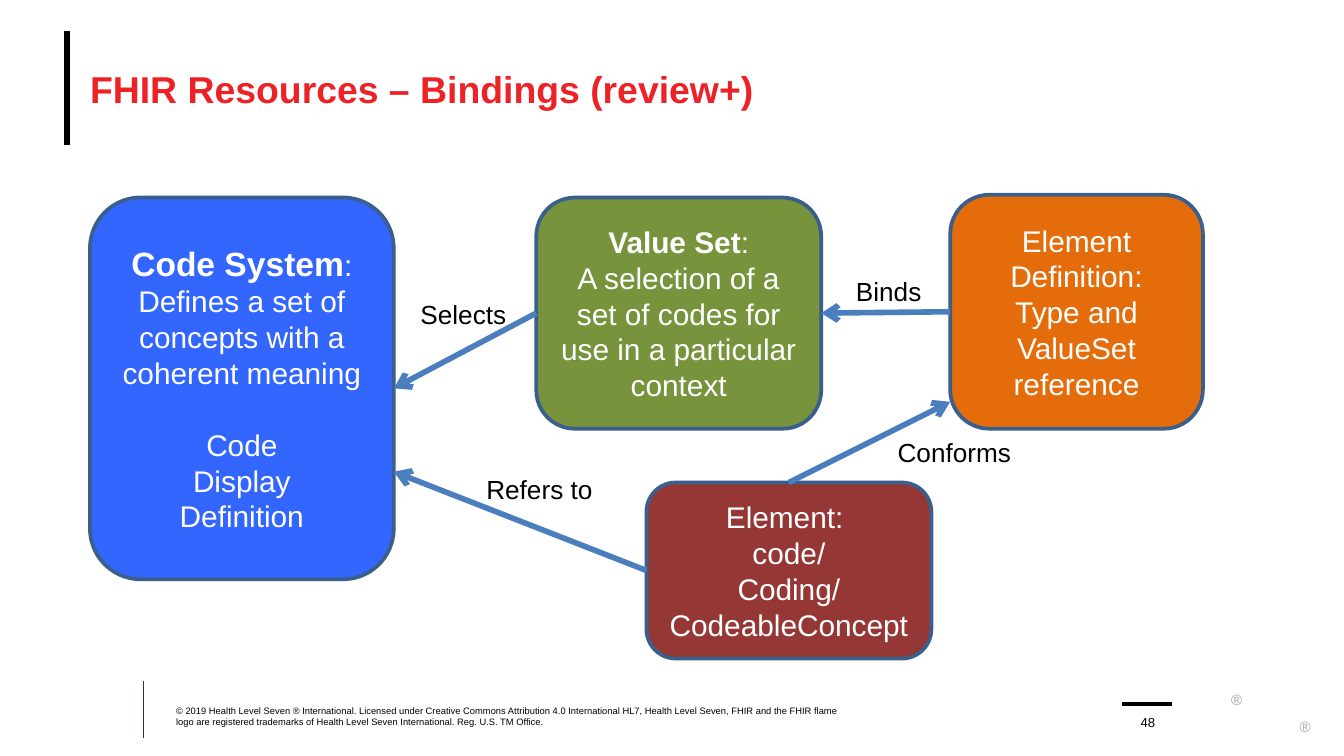
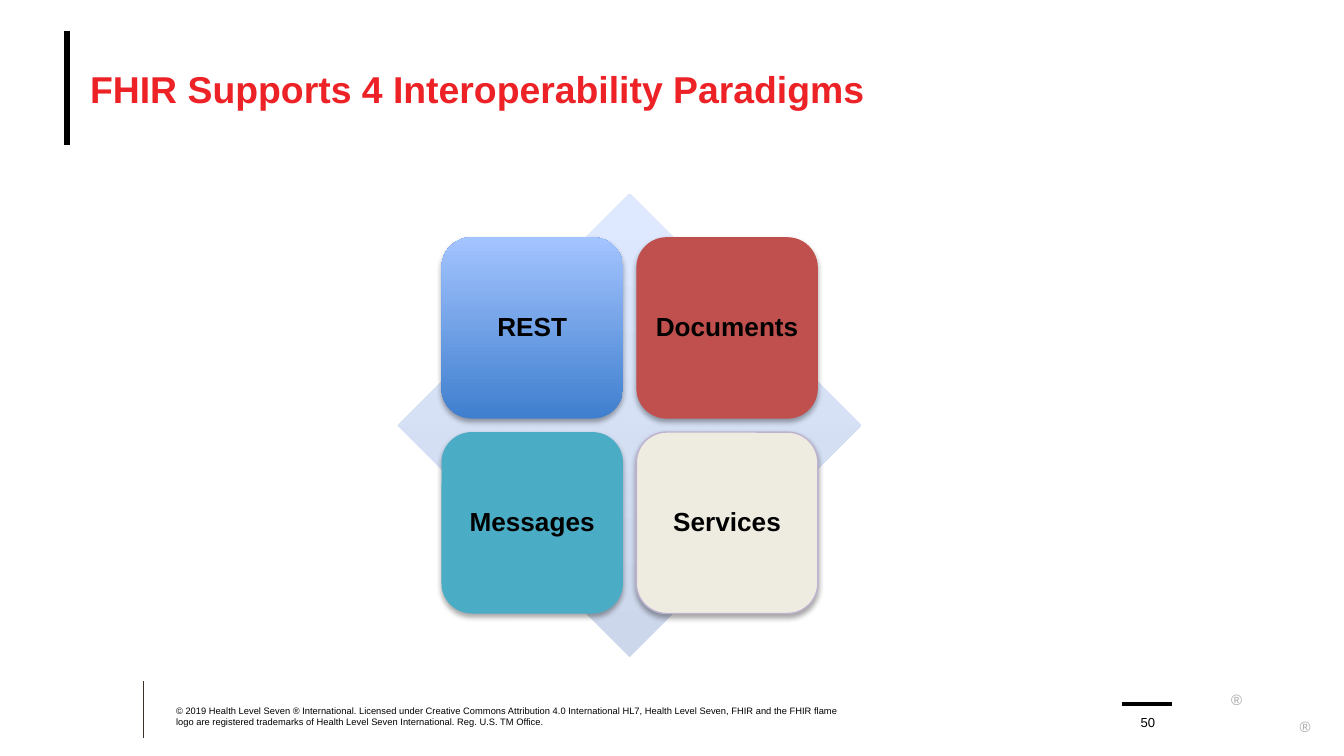
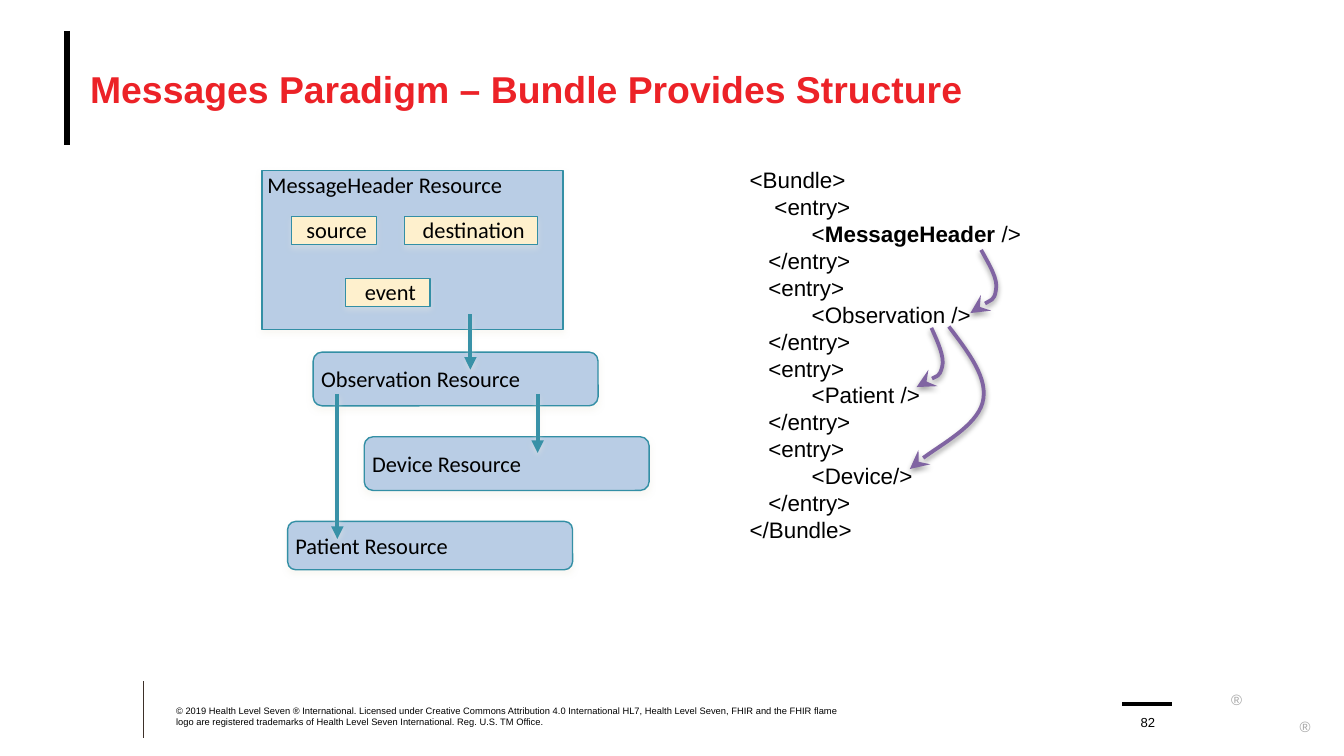
from itertools import product

from lxml.etree import SubElement
from pptx import Presentation
from pptx.dml.color import RGBColor
from pptx.enum.shapes import MSO_CONNECTOR, MSO_SHAPE as SHAPE
from pptx.enum.text import MSO_ANCHOR as ANCHOR, MSO_AUTO_SIZE, PP_ALIGN as ALIGN
from pptx.oxml.ns import qn
from pptx.util import Inches, Pt

FOOTER = ("© 2019 Health Level Seven ® International. Licensed under Creative Commons Attribution 4.0 "
          "International HL7, Health Level Seven, FHIR and the FHIR flame logo are registered trademarks "
          "of Health Level Seven International. Reg. U.S. TM Office.")
RULES = [((1.07, 5.07), (1.07, 5.49), "3D3029", 0.5),
         ((0.5, 0.23), (0.5, 1.08), "000000", 3.25),
         ((8.35, 5.24), (8.72, 5.24), "000000", 2)]
MARKS = [(9.16, 5.1, 0.11, 0.09), (9.67, 5.3, 0.09, 0.09)]

BOLD = {"bold": True}
CONCEPTS = {
    "code system": ((0.67, 1.47, 2.26, 2.84), "3366FF", [
        [("Code System", {"bold": True, "size": 18}), (":", {})],
        "Defines a set of concepts with a coherent meaning", "Code", "Display", "Definition"], {2: 19.2}),
    "value set": ((3.99, 1.47, 2.12, 1.72), "77933C", [
        [("Value Set", BOLD), (":", {})],
        "A selection of a set of codes for use in a particular context"], {}),
    "definition": ((7.07, 1.45, 1.88, 1.74), "E46C0A", [
        "Element Definition:", "Type and ValueSet reference"], {}),
    "element": ((4.81, 3.59, 2.12, 1.31), "953735", [
        "Element: ", "code/", "Coding/", "CodeableConcept"], {}),
}
TOP, LEFT, RIGHT = 0, 1, 3
RELATIONS = [
    ("Selects", (3.03, 2.17, 0.89, 0.34), "value set", LEFT, "code system", (2.93, 2.89)),
    ("Binds", (6.27, 2, 0.69, 0.34), "definition", LEFT, "value set", (6.11, 2.33)),
    ("Conforms", (6.58, 3.2, 1.05, 0.34), "element", TOP, None, (7.07, 2.99)),
    ("Refers to", (3.52, 3.47, 1, 0.34), "element", LEFT, None, (2.93, 3.51)),
]

PARADIGMS = [("REST", ("3F7FCE", "A4C4FF"), None), ("Documents", "C0504D", None),
             ("Messages", "4BACC6", None), ("Services", "EEECE1", ("BFB2D0", 0.75))]

HEADER = ("MessageHeader Resource", (1.95, 1.27, 2.24, 1.18))
RESOURCES = [("Observation Resource", (2.33, 2.62, 2.12, 0.4)),
             ("Device Resource", (2.71, 3.25, 2.12, 0.4)),
             ("Patient Resource", (2.14, 3.88, 2.12, 0.36))]
FIELDS = [("source", (2.17, 1.61, 0.63, 0.21)), ("destination", (3.01, 1.61, 0.99, 0.21)),
          ("event", (2.57, 2.07, 0.63, 0.21))]
LINKS = [(3.5, 2.34, 2.75), (4, 2.93, 3.37), (2.51, 2.93, 4.01)]
CODE = ["<Bundle>", "    <entry>",
        [("          <", {}), ("MessageHeader", BOLD), (" />", {})],
        "   </entry>", "   <entry>", "          <Observation />",
        "   </entry>", "   <entry>", "          <Patient />",
        "   </entry>", "   <entry>", "          <Device/>",
        "   </entry>", "</Bundle>"]
CURVES = [
    [(7.3, 1.86), (7.36, 1.97), (7.43, 2.08), (7.41, 2.16), (7.4, 2.24), (7.25, 2.3), (7.22, 2.33)],
    [(7.06, 2.43), (7.21, 2.63), (7.36, 2.82), (7.31, 3), (7.26, 3.17), (6.85, 3.4), (6.77, 3.49)],
    [(6.93, 2.44), (6.98, 2.55), (7.03, 2.66), (7.01, 2.73), (6.99, 2.81), (6.85, 2.86), (6.82, 2.88)],
]
CARD_SHADOW = ("000000", 35, 3.1, 1.8)
PALE_SHADOW = ("EEECE1", 35, 3, 1.8)
LINK_SHADOW = ("EEECE1", 38, 3, 1.6)
CURVE_SHADOW = ("000000", 38, 3.1, 1.6)


def rgb(value):
    """Turn a hex string into a colour."""
    return RGBColor.from_string(value)


def box(values):
    """Convert lengths in inches."""
    return [Inches(v) for v in values]


def write(s, paragraphs, size, color="000000", name="Arial", bold=False, align=ALIGN.LEFT,
          anchor=ANCHOR.TOP, insets=(0.1, 0.05, 0.1, 0.05), wrap=True, gaps=None, spacing=None):
    """Fill a shape with paragraphs, each a string or a list of (text, format) runs."""
    tf = s.text_frame
    frame = dict(zip(("margin_left", "margin_top", "margin_right", "margin_bottom"), box(insets)))
    frame.update(auto_size=MSO_AUTO_SIZE.NONE, word_wrap=wrap, vertical_anchor=anchor)
    for key, value in frame.items():
        setattr(tf, key, value)
    for i, runs in enumerate(paragraphs):
        p = tf.add_paragraph() if i else tf.paragraphs[0]
        for key, value in {"alignment": align, **(spacing or {})}.items():
            setattr(p, key, value)
        if gaps and i in gaps:
            p.space_before = Pt(gaps[i])
        for text, extra in [(runs, {})] if isinstance(runs, str) else runs:
            r = p.add_run()
            r.text = text
            look = {"name": name, "size": size, "bold": bold, **extra}
            look["size"] = Pt(look["size"])
            for key, value in look.items():
                setattr(r.font, key, value)
            r.font.color.rgb = rgb(color)


def add_text(slide, at, paragraphs, size, **look):
    """Add a text box."""
    write(slide.shapes.add_textbox(*box(at)), paragraphs, size, **look)


def set_effects(s, shadow):
    """Give a shape a downward shadow, or none."""
    effects = SubElement(s._element.spPr, qn("a:effectLst"))
    if shadow:
        color, alpha, blur, dist = shadow
        outer = SubElement(effects, qn("a:outerShdw"), blurRad=str(Pt(blur)), dist=str(Pt(dist)),
                           dir="5400000", rotWithShape="0")
        tint = SubElement(outer, qn("a:srgbClr"), val=color)
        SubElement(tint, qn("a:alpha"), val=str(alpha * 1000))


def set_line(s, color, width, tail=None, scale="med"):
    """Set line colour and width, and an arrowhead at the end."""
    s.line.color.rgb = rgb(color)
    s.line.width = Pt(width)
    if tail:
        SubElement(s.line._get_or_add_ln(), qn("a:tailEnd"), type=tail, w=scale, len=scale)


def add_shape(slide, kind, at, fill, line=None, shadow=None):
    """Add a preset shape with a plain or an upward gradient fill."""
    s = slide.shapes.add_shape(kind, *box(at))
    if isinstance(fill, tuple):
        s.fill.gradient()
        s.fill.gradient_angle = 90
        for stop, color in zip(s.fill.gradient_stops, fill):
            stop.color.rgb = rgb(color)
    else:
        s.fill.solid()
        s.fill.fore_color.rgb = rgb(fill)
    if line:
        set_line(s, *line)
    else:
        s.line.fill.background()
    set_effects(s, shadow)
    return s


def add_line(slide, start, end, color, width, tail=None, shadow=None):
    """Add a straight connector."""
    s = slide.shapes.add_connector(MSO_CONNECTOR.STRAIGHT, *box(start + end))
    set_line(s, color, width, tail)
    set_effects(s, shadow)
    return s


def add_curve(slide, points):
    """Add an arrow along cubic curves: a start, then three points for each curve."""
    builder = slide.shapes.build_freeform(*box(points[0]))
    builder.add_line_segments([box(pt) for pt in points[1:]], close=False)
    s = builder.convert_to_shape()
    outline = next(s._element.iter(qn("a:path")))
    outline.set("fill", "none")
    steps = outline.findall(qn("a:lnTo"))
    for i in range(0, len(steps), 3):
        curve = SubElement(outline, qn("a:cubicBezTo"))
        for step in steps[i:i + 3]:
            curve.append(step[0])
            outline.remove(step)
    s.fill.background()
    set_line(s, "8064A2", 2, "stealth", "lg")
    set_effects(s, CURVE_SHADOW)


def new_slide(prs, title, number):
    """Add a slide with its title, rules, marks and footer."""
    slide = prs.slides.add_slide(prs.slide_layouts[5])
    s = slide.shapes.title
    s.left, s.top, s.width, s.height = box((0.67, 0.23, 9, 0.86))
    flush = {"insets": (0, 0, 0, 0)}
    write(s, [title], 20, color="EC2227", bold=True, anchor=ANCHOR.MIDDLE, **flush)
    for rule in RULES:
        add_line(slide, *rule)
    for at in MARKS:
        add_text(slide, at, ["®"], 8, color="A6A6A6", insets=(0, 0.04, 0, 0), wrap=False)
    add_text(slide, (8.39, 5.24, 0.3, 0.19), [number], 7, align=ALIGN.CENTER, anchor=ANCHOR.BOTTOM, **flush)
    add_text(slide, (1.31, 5.24, 4.95, 0.17), [FOOTER], 5, anchor=ANCHOR.BOTTOM, **flush)
    return slide


def bindings_slide(prs):
    """Show how code systems, value sets and elements relate."""
    slide = new_slide(prs, "FHIR Resources – Bindings (review+)", "48")
    shapes = {}
    for key, (at, fill, paragraphs, gaps) in CONCEPTS.items():
        s = shapes[key] = add_shape(slide, SHAPE.ROUNDED_RECTANGLE, at, fill, ("3A5F8C", 2))
        write(s, paragraphs, 16, color="FFFFFF", align=ALIGN.CENTER, anchor=ANCHOR.MIDDLE, gaps=gaps)
    for label, at, source, side, target, end in RELATIONS:
        s = add_line(slide, end, end, "4B7EBC", 3, "arrow")
        s.begin_connect(shapes[source], side)
        if target:
            s.end_connect(shapes[target], RIGHT)
        add_text(slide, at, [label], 14, wrap=False)


def paradigms_slide(prs):
    """Show the four paradigms as a grid over a diamond."""
    slide = new_slide(prs, "FHIR Supports 4 Interoperability Paradigms", "50")
    left, top, side, card, pitch = 2.96, 1.44, 3.45, 1.35, 1.45
    add_shape(slide, SHAPE.DIAMOND, (left, top, side, side), ("CDD7EB", "DEE9FF"))
    margin = (side - card - pitch) / 2
    spacing = {"line_spacing": 0.9, "space_after": Pt(4.9)}
    for (row, col), (name, fill, line) in zip(product(range(2), repeat=2), PARADIGMS):
        at = (left + margin + col * pitch, top + margin + row * pitch, card, card)
        s = add_shape(slide, SHAPE.ROUNDED_RECTANGLE, at, fill, line, CARD_SHADOW)
        write(s, [name], 14, bold=True, align=ALIGN.CENTER, anchor=ANCHOR.MIDDLE,
              insets=(0.06,) * 4, spacing=spacing)


def messages_slide(prs):
    """Show message resources beside the bundle that holds them."""
    slide = new_slide(prs, "Messages Paradigm – Bundle Provides Structure", "82")
    blue, cream = "B9CDE5", "FEF0CD"
    groups = [(RESOURCES, SHAPE.ROUNDED_RECTANGLE, blue, ALIGN.LEFT, ANCHOR.MIDDLE),
              ([HEADER], SHAPE.RECTANGLE, blue, ALIGN.LEFT, ANCHOR.TOP),
              (FIELDS, SHAPE.RECTANGLE, cream, ALIGN.CENTER, ANCHOR.TOP)]
    for parts, kind, fill, align, anchor in groups:
        for text, at in parts:
            s = add_shape(slide, kind, at, fill, ("338FA5", 0.75), PALE_SHADOW)
            write(s, [text], 12, name="Calibri", align=align, anchor=anchor, insets=(0.04, 0, 0, 0))
    for x, start, end in LINKS:
        add_line(slide, (x, start), (x, end), "3891A7", 2.25, "triangle", LINK_SHADOW)
    add_text(slide, (5.48, 1.19, 2.24, 2.93), CODE, 12, wrap=False)
    for points in CURVES:
        add_curve(slide, points)


def main():
    """Build the three slides and save them."""
    prs = Presentation()
    prs.slide_width = Inches(10)
    prs.slide_height = prs.slide_width * 9 // 16
    bindings_slide(prs)
    paradigms_slide(prs)
    messages_slide(prs)
    prs.save("out.pptx")


if __name__ == "__main__":
    main()
